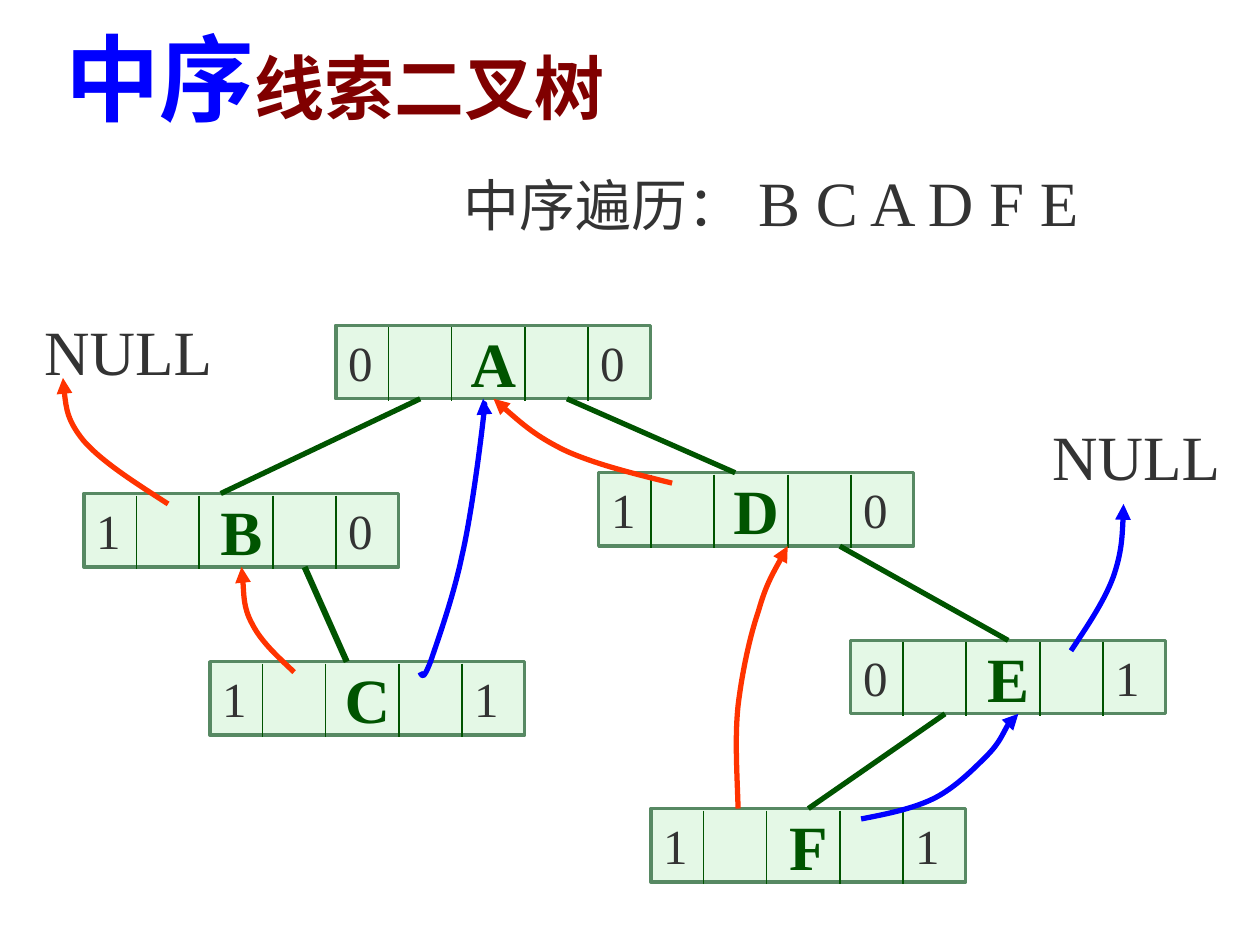
from lxml.etree import SubElement
from pptx import Presentation
from pptx.dml.color import RGBColor
from pptx.enum.shapes import MSO_CONNECTOR as Link, MSO_SHAPE as Shape
from pptx.enum.text import MSO_ANCHOR as Anchor, PP_ALIGN as Align
from pptx.oxml.ns import qn
from pptx.util import Cm, Pt

BLUE, RED, GREEN, GRAY = "0000FF", "FF3300", "005400", "333333"

NODES = {
    "A": (6.77, 6.56, "0", "0"),
    "B": (1.69, 9.95, "1", "0"),
    "D": (12.07, 9.53, "1", "0"),
    "C": (4.23, 13.34, "1", "1"),
    "E": (17.15, 12.91, "0", "1"),
    "F": (13.12, 16.3, "1", "1"),
}

EDGES = [
    ((8.47, 8.04), (4.45, 9.95), 3, None),
    ((11.43, 8.04), (14.82, 9.53), 3, None),
    ((6.14, 11.43), (6.99, 13.34), 3.5, None),
    ((16.93, 11.01), (20.32, 12.88), 3, "E"),
    ((19.05, 14.39), (16.3, 16.3), 3, "F"),
]

THREADS = [
    (RED, [(5.93, 13.55), (5.59, 13.23), (5.26, 12.93), (5.08, 12.57),
           (4.9, 12.24), (4.9, 11.58), (4.87, 11.43)]),
    (RED, [(14.88, 16.3), (14.86, 15.6), (14.81, 14.88), (14.88, 14.22),
           (14.96, 13.56), (15.11, 12.85), (15.29, 12.32),
           (15.44, 11.79), (15.67, 11.4), (15.88, 11.01)]),
    (BLUE, [(17.36, 16.51), (17.88, 16.41), (18.42, 16.3), (18.84, 16.09),
            (19.25, 15.88), (19.61, 15.52), (19.89, 15.24),
            (20.17, 14.96), (20.42, 14.33), (20.53, 14.39)]),
    (RED, [(3.39, 10.16), (2.72, 9.73), (2.06, 9.31), (1.69, 8.89),
           (1.35, 8.47), (1.3, 8.04), (1.27, 7.62)]),
    (RED, [(13.55, 9.74), (12.78, 9.55), (12.04, 9.37), (11.43, 9.1),
           (10.82, 8.81), (10.39, 8.43), (9.95, 8.04)]),
    (BLUE, [(21.59, 13.12), (21.92, 12.62), (22.25, 12.14), (22.44, 11.64),
            (22.61, 11.15), (22.64, 10.64), (22.65, 10.16)]),
    (BLUE, [(8.47, 13.55), (8.51, 13.64), (8.53, 13.72), (8.68, 13.34),
            (8.81, 12.95), (9.14, 12.04), (9.31, 11.22),
            (9.5, 10.41), (9.68, 8.99), (9.74, 8.47),
            (9.8, 7.92), (9.63, 7.9), (9.74, 8.04)]),
]


def rgb(value):
    return RGBColor.from_string(value)


class TreeSlide:
    font = "Times New Roman"
    node_w, node_h, flag_w = 6.35, 1.48, 1.27
    dividers = (1.06, 2.33, 3.81, 5.08)

    def __init__(self, prs):
        self.s = prs.slides.add_slide(prs.slide_layouts[6])
        self.boxes = {}

    def style_run(self, r, size, color, bold=False):
        r.font.name = self.font
        r.font.size = Pt(size)
        r.font.bold = bold
        r.font.color.rgb = rgb(color)

    def text(self, x, y, w, h, runs, wrap=True, anchor=Anchor.TOP, spacing=None):
        tf = self.s.shapes.add_textbox(Cm(x), Cm(y), Cm(w), Cm(h)).text_frame
        tf.word_wrap = wrap
        tf.vertical_anchor = anchor
        p = tf.paragraphs[0]
        p.line_spacing = spacing
        for content, *style in runs:
            r = p.add_run()
            r.text = content
            self.style_run(r, *style)

    def label(self, x, y, w, h, content, size):
        self.text(x, y, w, h, [(content, size, GRAY)], anchor=Anchor.BOTTOM)

    def line(self, shapes, start, end, width):
        cx = shapes.add_connector(Link.STRAIGHT, *map(Cm, start + end))
        cx.line.color.rgb = rgb(GREEN)
        cx.line.width = Pt(width)
        SubElement(cx._element.spPr, qn("a:effectLst"))
        return cx

    def node(self, name, x, y):
        shapes = self.s.shapes.add_group_shape().shapes
        sp = shapes.add_shape(Shape.RECTANGLE, Cm(x), Cm(y),
                              Cm(self.node_w), Cm(self.node_h))
        sp.shadow.inherit = False
        sp.fill.solid()
        sp.fill.fore_color.rgb = rgb("CAF2CE")
        color = sp._element.spPr.find(qn("a:solidFill"))[0]
        SubElement(color, qn("a:alpha"), val="50000")
        sp.line.color.rgb = rgb("578963")
        sp.line.width = Pt(2)
        tf = sp.text_frame
        tf.text = name
        tf.word_wrap = False
        tf.vertical_anchor = Anchor.MIDDLE
        p = tf.paragraphs[0]
        p.alignment = Align.CENTER
        self.style_run(p.runs[0], 36, GREEN, True)
        for dx in self.dividers:
            self.line(shapes, (x + dx, y + 0.04), (x + dx, y + 1.52), 1)
        self.boxes[name] = sp

    def flags(self, x, y, left, right):
        for dx, flag in ((0, left), (self.dividers[-1], right)):
            self.label(x + dx, y, self.flag_w, 1.45, flag, 28)

    def edge(self, start, end, width, child):
        cx = self.line(self.s.shapes, start, end, width)
        if child:
            cx.end_connect(self.boxes[child], 0)

    def thread(self, color, points):
        start, *rest = [(Cm(x), Cm(y)) for x, y in points]
        builder = self.s.shapes.build_freeform(*start)
        builder.add_line_segments(rest, close=False)
        sp = builder.convert_to_shape()
        outline = sp._element.xpath(".//a:path")[0]
        segments = outline.findall(qn("a:lnTo"))
        for i in range(0, len(segments), 3):
            curve = SubElement(outline, qn("a:cubicBezTo"))
            for segment in segments[i:i + 3]:
                curve.append(segment[0])
                outline.remove(segment)
        sp.shadow.inherit = False
        sp.fill.background()
        sp.line.color.rgb = rgb(color)
        sp.line.width = Pt(3)
        SubElement(sp.line._get_or_add_ln(), qn("a:tailEnd"), type="triangle")


def main():
    prs = Presentation()
    prs.slide_width, prs.slide_height = Cm(25.4), Cm(19.05)
    tree = TreeSlide(prs)
    tree.text(1.07, -0.18, 11.4, 3, [("中序", 54, BLUE, True),
              ("线索二叉树", 40, "800000", True)], wrap=False, spacing=1.2)
    tree.text(9.1, 3.18, 13.97, 1.78, [("中序遍历：", 32, GRAY),
              (" B C A D F E", 36, GRAY)])
    for name, (x, y, *_) in NODES.items():
        tree.node(name, x, y)
    for edge in EDGES:
        tree.edge(*edge)
    for node in NODES.values():
        tree.flags(*node)
    for x, y in ((0.64, 6.15), (20.96, 8.26)):
        tree.label(x, y, 4.4, 1.8, "NULL", 36)
    for thread in THREADS:
        tree.thread(*thread)
    prs.save("out.pptx")


if __name__ == "__main__":
    main()
